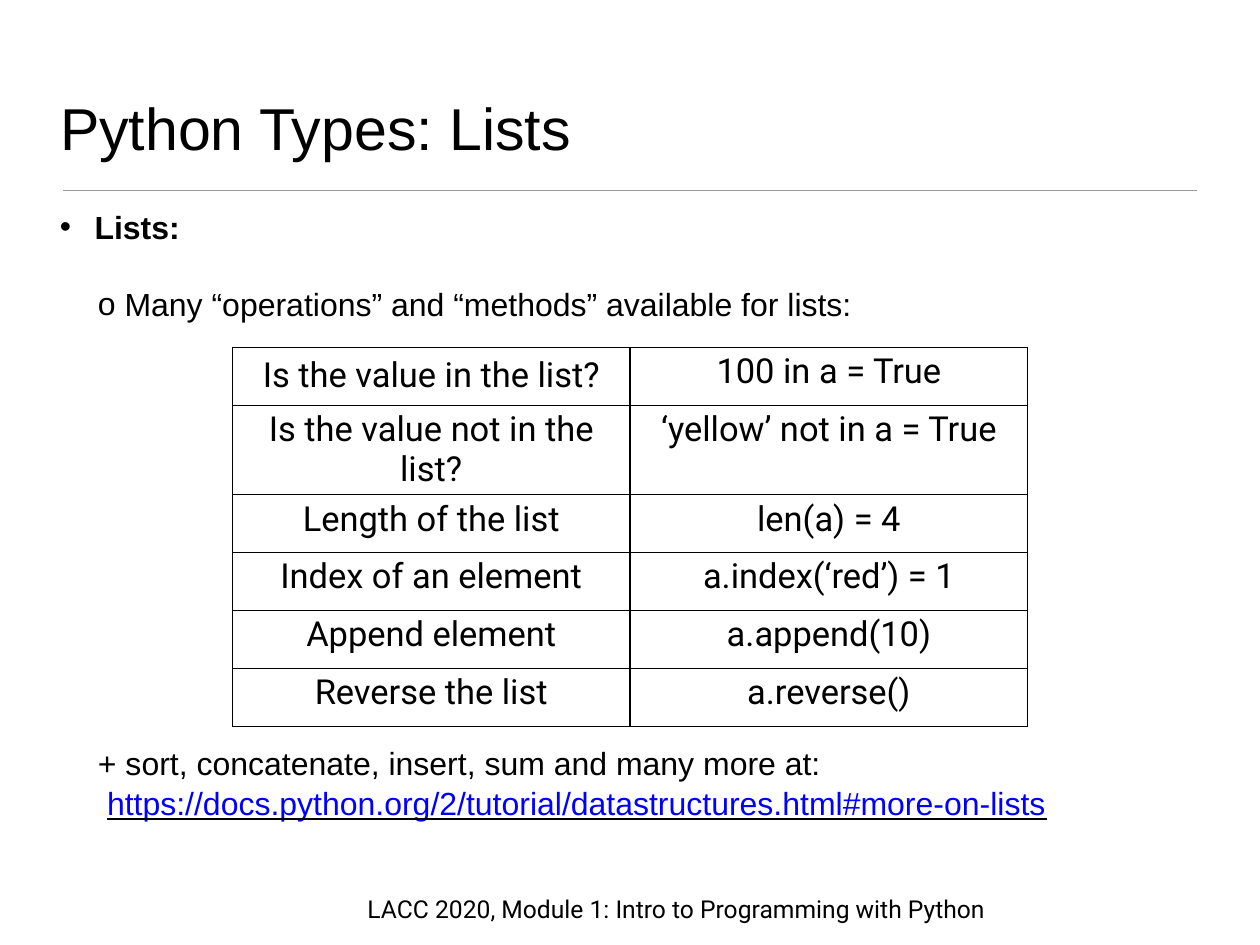
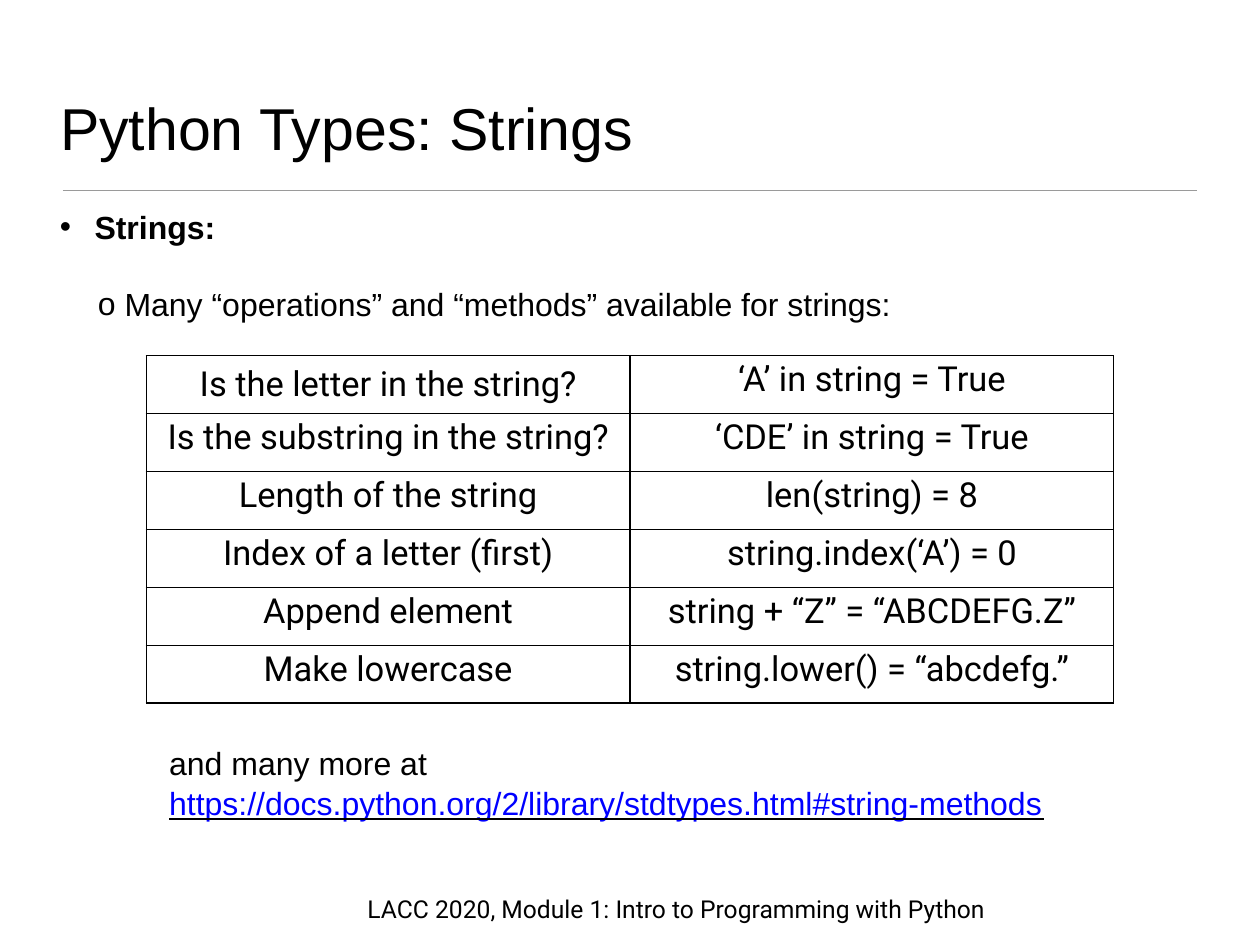
from lxml import etree
from pptx import Presentation
from pptx.dml.color import RGBColor
from pptx.enum.shapes import MSO_CONNECTOR, MSO_SHAPE
from pptx.enum.text import MSO_ANCHOR, MSO_AUTO_SIZE, PP_ALIGN
from pptx.oxml.ns import qn
from pptx.util import Cm, Pt

BLACK = RGBColor(0x00, 0x00, 0x00)
WHITE = RGBColor(0xFF, 0xFF, 0xFF)
GREY = RGBColor(0x9A, 0x9A, 0x9A)
BLUE = RGBColor(0x00, 0x00, 0xFF)

LEFT, CENTER = PP_ALIGN.LEFT, PP_ALIGN.CENTER
TOP, MIDDLE, BOTTOM = MSO_ANCHOR.TOP, MSO_ANCHOR.MIDDLE, MSO_ANCHOR.BOTTOM
NO_FIT = MSO_AUTO_SIZE.NONE
RECTANGLE = MSO_SHAPE.RECTANGLE
STRAIGHT = MSO_CONNECTOR.STRAIGHT

SLIDE_W, SLIDE_H = 36.12, 27.1
TEXT_LEFT, TEXT_W = 1.57, 32.94
INSET = 0.15
ROW_H = 1.66
FOOTER = "LACC 2020, Module 1: Intro to Programming with Python"

LISTS = [
    ("Is the value in the list?", "100 in a = True"),
    ("Is the value not in the list?", "‘yellow’ not in a = True"),
    ("Length of the list", "len(a) = 4"),
    ("Index of an element", "a.index(‘red’) = 1"),
    ("Append element", "a.append(10)"),
    ("Reverse the list", "a.reverse()"),
]
STRINGS = [
    ("Is the letter in the string?", "‘A’ in string = True"),
    ("Is the substring in the string?", "‘CDE’ in string = True"),
    ("Length of the string", "len(string) = 8"),
    ("Index of a letter (first)", "string.index(‘A’) = 0"),
    ("Append element", "string + “Z” = “ABCDEFG.Z”"),
    ("Make lowercase", "string.lower() = “abcdefg.”"),
]


def set_frame(tf, anchor=TOP):
    tf.word_wrap = True
    tf.auto_size = NO_FIT
    tf.vertical_anchor = anchor
    tf.margin_left = tf.margin_right = Cm(INSET)
    tf.margin_top = tf.margin_bottom = Cm(INSET)


def write(p, text, size=26, font="Arial", color=BLACK, bold=False,
          underline=False, align=LEFT, before=0):
    p.alignment = align
    p.space_before = Pt(before)
    r = p.add_run()
    r.text = text
    r.font.name = font
    r.font.size = Pt(size)
    r.font.bold = bold
    r.font.color.rgb = color
    if underline:
        r.font.underline = True
        underline_fill = etree.Element(qn("a:uFill"))
        solid = etree.SubElement(underline_fill, qn("a:solidFill"))
        etree.SubElement(solid, qn("a:srgbClr"), val=str(BLACK))
        r.font._element.find(qn("a:solidFill")).addnext(underline_fill)


def indent(p, left, hanging=0, bullet=None):
    pPr = p._p.get_or_add_pPr()
    pPr.set("marL", str(Cm(left)))
    pPr.set("indent", str(-Cm(hanging)))
    if bullet:
        etree.SubElement(pPr, qn("a:buFont"), typeface="Arial")
        etree.SubElement(pPr, qn("a:buChar"), char=bullet)


def add_text(s, top, height):
    tf = s.shapes.add_textbox(Cm(TEXT_LEFT), Cm(top), Cm(TEXT_W), Cm(height)).text_frame
    set_frame(tf)
    return tf


def add_title(s, text):
    title = s.shapes.title
    title.left, title.top = Cm(TEXT_LEFT), Cm(0)
    title.width, title.height = Cm(TEXT_W), Cm(4.8)
    set_frame(title.text_frame, BOTTOM)
    write(title.text_frame.paragraphs[0], text, size=48)


def add_rule(s):
    rule = s.shapes.add_connector(STRAIGHT, Cm(1.8), Cm(5.46), Cm(34.32), Cm(5.46))
    rule.line.color.rgb = GREY
    rule.line.width = Pt(1)
    etree.SubElement(rule._element.spPr, qn("a:effectLst"))


def add_footer(s):
    sp = s.shapes.add_shape(RECTANGLE, Cm(10.03), Cm(25.5), Cm(18.72), Cm(1.14))
    sp.shadow.inherit = False
    sp.fill.solid()
    sp.fill.fore_color.rgb = WHITE
    sp.line.fill.background()
    set_frame(sp.text_frame, MIDDLE)
    write(sp.text_frame.paragraphs[0], FOOTER, size=20, font="Roboto", align=CENTER)


def add_intro(s, topic):
    tf = add_text(s, 5.79, 3.6)
    p = tf.paragraphs[0]
    indent(p, 0.99, 0.99, "•")
    write(p, f"{topic}:", bold=True)
    p = tf.add_paragraph()
    indent(p, 1.85, 0.76, "o")
    write(p, f"Many “operations” and “methods” available for {topic.lower()}:", before=32)


def add_closing(s, lead, lead_left, link, link_left):
    tf = add_text(s, 21.18, 2.6)
    p = tf.paragraphs[0]
    indent(p, lead_left)
    write(p, lead)
    p = tf.add_paragraph()
    indent(p, link_left)
    write(p, link, color=BLUE, underline=True, before=1)


def set_borders(cell):
    tcPr = cell._tc.get_or_add_tcPr()
    for i, side in enumerate(("a:lnL", "a:lnR", "a:lnT", "a:lnB")):
        ln = etree.Element(qn(side), w=str(Pt(1)))
        solid = etree.SubElement(ln, qn("a:solidFill"))
        etree.SubElement(solid, qn("a:srgbClr"), val=str(BLACK))
        tcPr.insert(i, ln)


def add_operations(s, rows, top, col_w):
    left = (SLIDE_W - 2 * col_w) / 2
    table = s.shapes.add_table(len(rows), 2, Cm(left), Cm(top),
                               Cm(2 * col_w), Cm(ROW_H * len(rows))).table
    table.first_row = table.horz_banding = False
    for column in table.columns:
        column.width = Cm(col_w)
    for i, texts in enumerate(rows):
        table.rows[i].height = Cm(ROW_H)
        for j, text in enumerate(texts):
            cell = table.cell(i, j)
            cell.vertical_anchor = MIDDLE if i == j == 0 else TOP
            cell.fill.background()
            set_borders(cell)
            write(cell.text_frame.paragraphs[0], text, size=28, font="Roboto", align=CENTER)


def add_slide(prs, topic, rows, table_top, col_w, closing):
    s = prs.slides.add_slide(prs.slide_layouts[5])
    add_title(s, f"Python Types: {topic}")
    add_rule(s)
    add_intro(s, topic)
    add_operations(s, rows, table_top, col_w)
    add_closing(s, *closing)
    add_footer(s)


def main():
    prs = Presentation()
    prs.slide_width, prs.slide_height = Cm(SLIDE_W), Cm(SLIDE_H)
    add_slide(prs, "Lists", LISTS, 9.96, 11.4, (
        "+ sort, concatenate, insert, sum and many more at:", 1.09,
        "https://docs.python.org/2/tutorial/datastructures.html#more-on-lists", 1.35))
    add_slide(prs, "Strings", STRINGS, 10.2, 13.87, (
        "and many more at", 3.13,
        "https://docs.python.org/2/library/stdtypes.html#string-methods", 3.13))
    prs.save("out.pptx")


if __name__ == "__main__":
    main()
